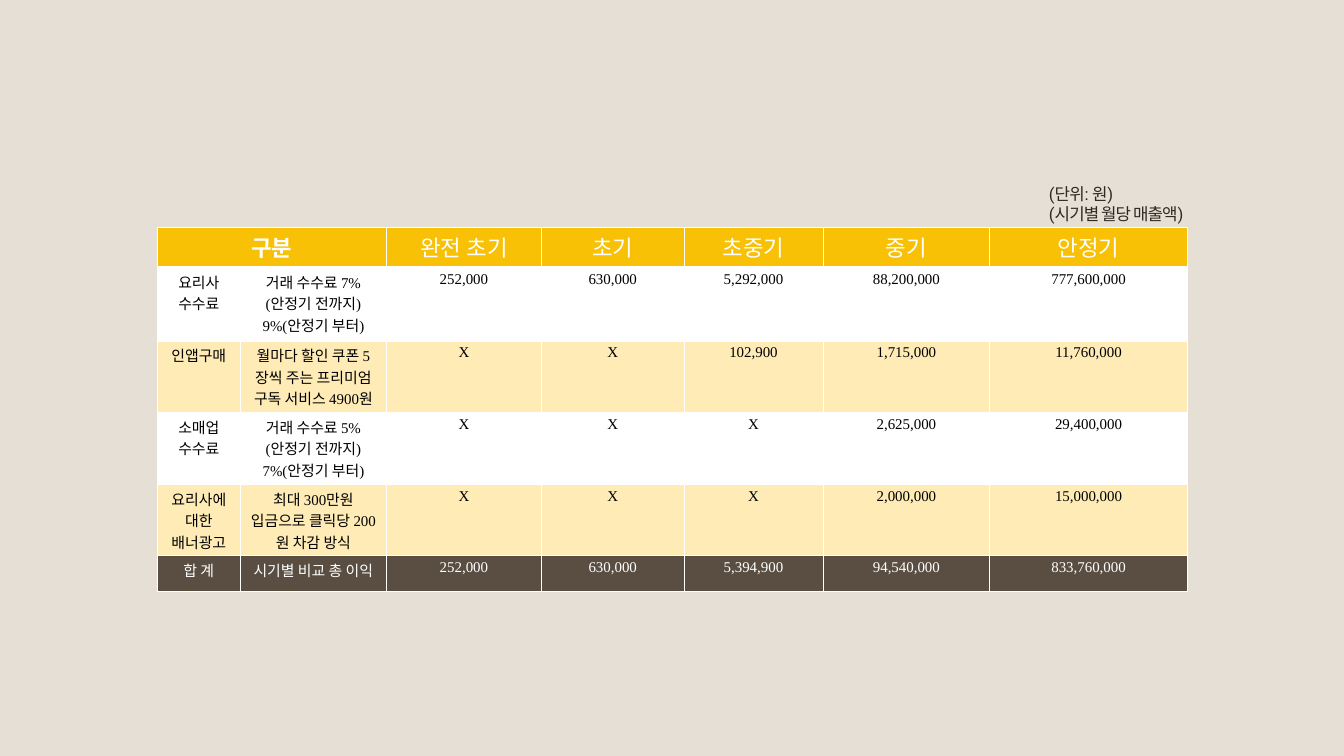
from lxml import etree
from pptx import Presentation
from pptx import util as u
from pptx.dml.color import RGBColor
from pptx.enum import text
from pptx.oxml.ns import qn

WHITE, BLACK, BEIGE, INK = "FFFFFF", "000000", "E6DFD6", "302921"
GOLD, CREAM, BROWN = "F8C106", "FEEBB6", "594E41"

COLUMN_WIDTHS = [3.15, 5.51, 5.87, 5.38, 5.26, 6.3, 7.47]
ROW_HEIGHTS = [1.52, 2.79, 2.65, 2.72, 2.66, 1.35]
REVENUE = [
    ["구분", "", "완전 초기", "초기", "초중기", "중기", "안정기"],
    ["요리사\n수수료", "거래 수수료 7%(안정기 전까지)\n9%(안정기 부터)",
     "252,000", "630,000", "5,292,000", "88,200,000", "777,600,000"],
    ["인앱구매", "월마다 할인 쿠폰 5장씩 주는 프리미엄 구독 서비스 4900원",
     "X", "X", "102,900", "1,715,000", "11,760,000"],
    ["소매업 수수료", "거래 수수료 5%(안정기 전까지)\n7%(안정기 부터)",
     "X", "X", "X", "2,625,000", "29,400,000"],
    ["요리사에 대한 배너광고", "최대 300만원 입금으로 클릭당 200원 차감 방식",
     "X", "X", "X", "2,000,000", "15,000,000"],
    ["합 계", "시기별 비교 총 이익",
     "252,000", "630,000", "5,394,900", "94,540,000", "833,760,000"],
]
ROW_STYLES = [
    (GOLD, WHITE, 24),
    (WHITE, BLACK, 16),
    (CREAM, BLACK, 16),
    (WHITE, BLACK, 16),
    (CREAM, BLACK, 16),
    (BROWN, WHITE, 16),
]


def color(value):
    """Turn a hex string into a colour."""
    return RGBColor.from_string(value)


def style_font(font, name, size, ink, bold=False):
    """Set the typeface, size, colour and weight of a font."""
    font.name = name
    font.size = u.Pt(size)
    font.bold = bold
    font.color.rgb = color(ink)


def border_cell(cell, bottom):
    """Draw white borders round a cell, the lower one of the given width."""
    properties = cell._tc.get_or_add_tcPr()
    for side, width in (("L", 1), ("R", 1), ("T", 1), ("B", bottom)):
        line = etree.SubElement(properties, qn(f"a:ln{side}"), w=str(u.Pt(width)))
        fill = etree.SubElement(line, qn("a:solidFill"))
        etree.SubElement(fill, qn("a:srgbClr"), val=WHITE)


def add_revenue_table(slide, left, top):
    """Place the table of monthly revenue by stage."""
    table = slide.shapes.add_table(
        len(REVENUE), len(COLUMN_WIDTHS), u.Cm(left), u.Cm(top),
        u.Cm(sum(COLUMN_WIDTHS)), u.Cm(sum(ROW_HEIGHTS))).table
    for column, width in zip(table.columns, COLUMN_WIDTHS):
        column.width = u.Cm(width)
    for r, (entries, height, style) in enumerate(zip(REVENUE, ROW_HEIGHTS, ROW_STYLES)):
        background, ink, size = style
        table.rows[r].height = u.Cm(height)
        for c, entry in enumerate(entries):
            cell = table.cell(r, c)
            border_cell(cell, 3 if r == 0 else 1)
            cell.fill.solid()
            cell.fill.fore_color.rgb = color(background)
            cell.text = entry
            for paragraph in cell.text_frame.paragraphs:
                paragraph.alignment = text.PP_ALIGN.CENTER
                style_font(paragraph.font, "Times New Roman", size, ink, r == c == 0)
    table.cell(0, 0).merge(table.cell(0, 1))


def add_unit_note(slide, left, top, width, height):
    """Place the note on the unit and period of the amounts."""
    note = slide.shapes.add_textbox(
        u.Cm(left), u.Cm(top), u.Cm(width), u.Cm(height)).text_frame
    note.word_wrap = True
    note.auto_size = text.MSO_AUTO_SIZE.SHAPE_TO_FIT_TEXT
    note.vertical_anchor = text.MSO_ANCHOR.MIDDLE
    note.text = "(단위: 원)\n(시기별 월당 매출액)"
    for paragraph in note.paragraphs:
        style_font(paragraph.font, "Roboto", 18, INK)
        paragraph._p.pPr.find(qn("a:defRPr")).set("spc", "-100")


def main():
    """Build the revenue slide and save it."""
    deck = Presentation()
    deck.slide_width, deck.slide_height = u.Cm(50.8), u.Cm(28.58)
    slide = deck.slides.add_slide(deck.slide_layouts[6])
    slide.background.fill.solid()
    slide.background.fill.fore_color.rgb = color(BEIGE)
    add_revenue_table(slide, 5.94, 8.59)
    add_unit_note(slide, 39.4, 6.81, 10.92, 1.8)
    deck.save("out.pptx")


if __name__ == "__main__":
    main()
